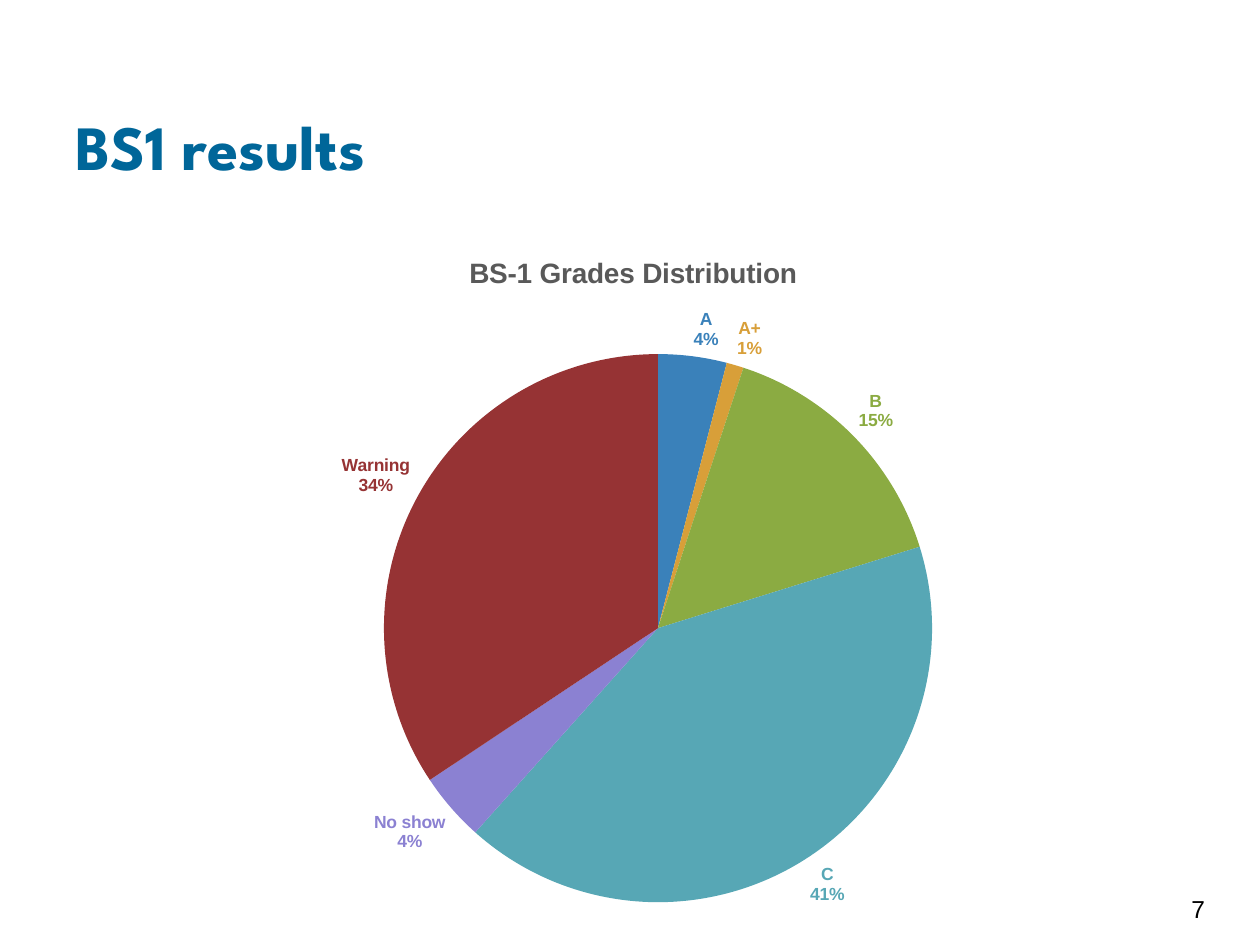
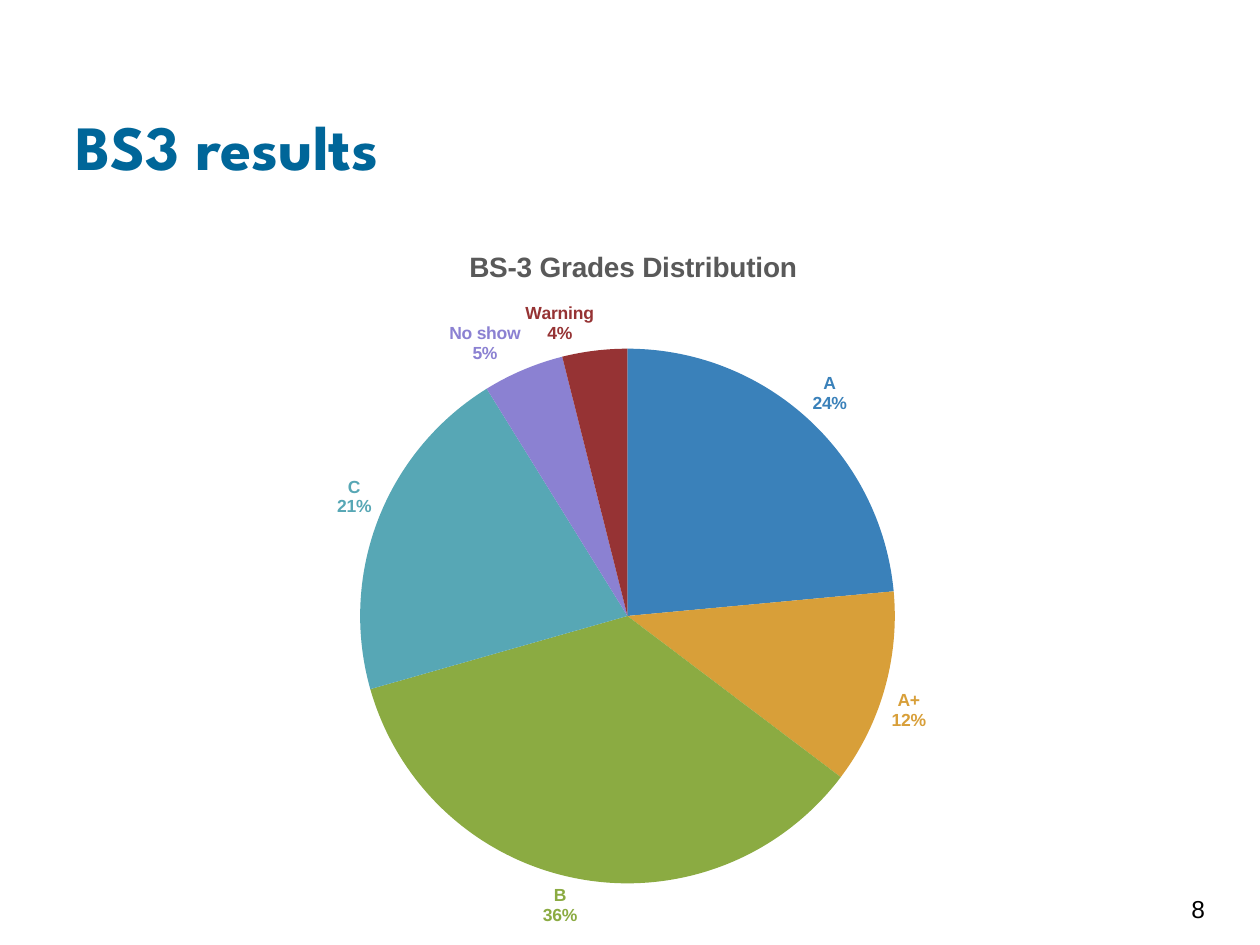
from pptx import Presentation
from pptx.chart.data import CategoryChartData
from pptx.dml.color import RGBColor
from pptx.enum.chart import XL_CHART_TYPE, XL_LABEL_POSITION
from pptx.enum.text import MSO_ANCHOR, PP_ALIGN
from pptx.oxml import parse_xml
from pptx.oxml.ns import nsdecls, qn
from pptx.util import Cm, Pt

TITLE_BLUE = RGBColor(0x00, 0x66, 0x99)
BLACK = RGBColor(0x00, 0x00, 0x00)
CAPTION_GREY = RGBColor(0x59, 0x59, 0x59)
GRADE_COLORS = {
    "A": RGBColor(0x3A, 0x81, 0xBA),
    "A+": RGBColor(0xD8, 0x9F, 0x39),
    "B": RGBColor(0x8B, 0xAB, 0x42),
    "C": RGBColor(0x57, 0xA7, 0xB5),
    "No show": RGBColor(0x8B, 0x81, 0xD2),
    "Warning": RGBColor(0x96, 0x33, 0x34),
}
TITLE_FONT = {"name": "League Spartan", "size": Pt(36), "bold": True}
NUMBER_FONT = {"name": "Arial", "size": Pt(14), "bold": False}
CAPTION_FONT = {"name": "Arial", "size": Pt(16), "bold": True}
LABEL_FONT = {"name": "Arial", "size": Pt(10), "bold": True}
FRAME = {"vertical_anchor": MSO_ANCHOR.MIDDLE, "word_wrap": True}
FRAME.update({f"margin_{side}": Cm(0.25) for side in ("left", "top", "right", "bottom")})
PERCENT = '0"%"'

# chart: left, top, width, height; pie: left, top, diameter (all in cm)
RESULTS = [
    {"course": 1, "page": 7, "shares": (4, 1, 15, 41, 4, 34),
     "chart": (4.37, 4.5, 16.66, 14.55), "pie": (7.74, 7.14, 11.05)},
    {"course": 3, "page": 8, "shares": (24, 12, 36, 21, 5, 4),
     "chart": (3.02, 4.37, 19.38, 14.68), "pie": (7.26, 7.03, 10.78)},
]
CAPTION_LEFT = 9.36
CAPTION_DROP = 0.55


def apply(target, values, color=None):
    """Set attributes from a dict, and the colour of a font if given."""
    for attribute, value in values.items():
        setattr(target, attribute, value)
    if color is not None:
        target.color.rgb = color


def place(parent, index, fractions, inner=False):
    """Give a chart part a manual layout, in fractions of the chart."""
    for old in parent.findall(qn("c:layout")):
        parent.remove(old)
    target = '<c:layoutTarget val="inner"/>' if inner else ""
    modes = "".join(f'<c:{axis}Mode val="edge"/>' for axis in "xy")
    sizes = "".join(f'<c:{key} val="{value:.4f}"/>' for key, value in zip("xywh", fractions))
    parent.insert(index, parse_xml(
        f'<c:layout {nsdecls("c")}><c:manualLayout>{target}{modes}{sizes}'
        "</c:manualLayout></c:layout>"))


prs = Presentation()
prs.slide_width, prs.slide_height = Cm(25.4), Cm(19.05)

for result in RESULTS:
    slide = prs.slides.add_slide(prs.slide_layouts[5])

    heading = slide.shapes.title
    apply(heading, {"left": Cm(1.27), "top": Cm(0.76), "width": Cm(22.86), "height": Cm(3.18)})
    apply(heading.text_frame, {**FRAME, "vertical_anchor": MSO_ANCHOR.BOTTOM})
    heading.text_frame.text = f"BS{result['course']} results"
    heading.text_frame.paragraphs[0].alignment = PP_ALIGN.LEFT
    apply(heading.text_frame.paragraphs[0].runs[0].font, TITLE_FONT, TITLE_BLUE)

    page_number = slide.shapes.add_textbox(Cm(23.77), Cm(17.6), Cm(1.52), Cm(1.45)).text_frame
    apply(page_number, FRAME)
    page_number.text = str(result["page"])
    apply(page_number.paragraphs[0].runs[0].font, NUMBER_FONT, BLACK)

    grades = CategoryChartData(number_format=PERCENT)
    grades.categories = list(GRADE_COLORS)
    grades.add_series("Series 1", result["shares"])
    left, top, width, height = result["chart"]
    chart = slide.shapes.add_chart(
        XL_CHART_TYPE.PIE, Cm(left), Cm(top), Cm(width), Cm(height), grades).chart
    chart.has_legend = False
    apply(chart.font, {**LABEL_FONT, "bold": False}, BLACK)

    chart.has_title = True
    caption = chart.chart_title.text_frame
    caption.text = f"BS-{result['course']} Grades Distribution"
    apply(caption.paragraphs[0].runs[0].font, CAPTION_FONT, CAPTION_GREY)

    chart_space = chart.element if hasattr(chart, "element") else chart._chartSpace
    place(next(chart_space.iter(qn("c:title"))), 1,
          ((CAPTION_LEFT - left) / width, CAPTION_DROP / height))
    pie_left, pie_top, diameter = result["pie"]
    place(next(chart_space.iter(qn("c:plotArea"))), 0,
          ((pie_left - left) / width, (pie_top - top) / height,
           diameter / width, diameter / height), inner=True)

    pie = chart.plots[0]
    pie.vary_by_categories = True
    for index, color in enumerate(GRADE_COLORS.values()):
        slice_ = pie.series[0].points[index]
        slice_.format.fill.solid()
        slice_.format.fill.fore_color.rgb = color
        slice_.format.line.fill.background()
        apply(slice_.data_label.font, LABEL_FONT, color)
        slice_.data_label.position = XL_LABEL_POSITION.OUTSIDE_END

    # The shares are whole percentages, so each label shows grade and value.
    for label in chart_space.iter(qn("c:dLbl")):
        number_format = parse_xml(f'<c:numFmt {nsdecls("c")} sourceLinked="0"/>')
        number_format.set("formatCode", PERCENT)
        label.insert(1, number_format)
        for key, shown in (("showVal", "1"), ("showCatName", "1"), ("showPercent", "0")):
            label.find(qn(f"c:{key}")).set("val", shown)
        label.append(parse_xml(f'<c:separator {nsdecls("c")}>\n</c:separator>'))

prs.save("out.pptx")
